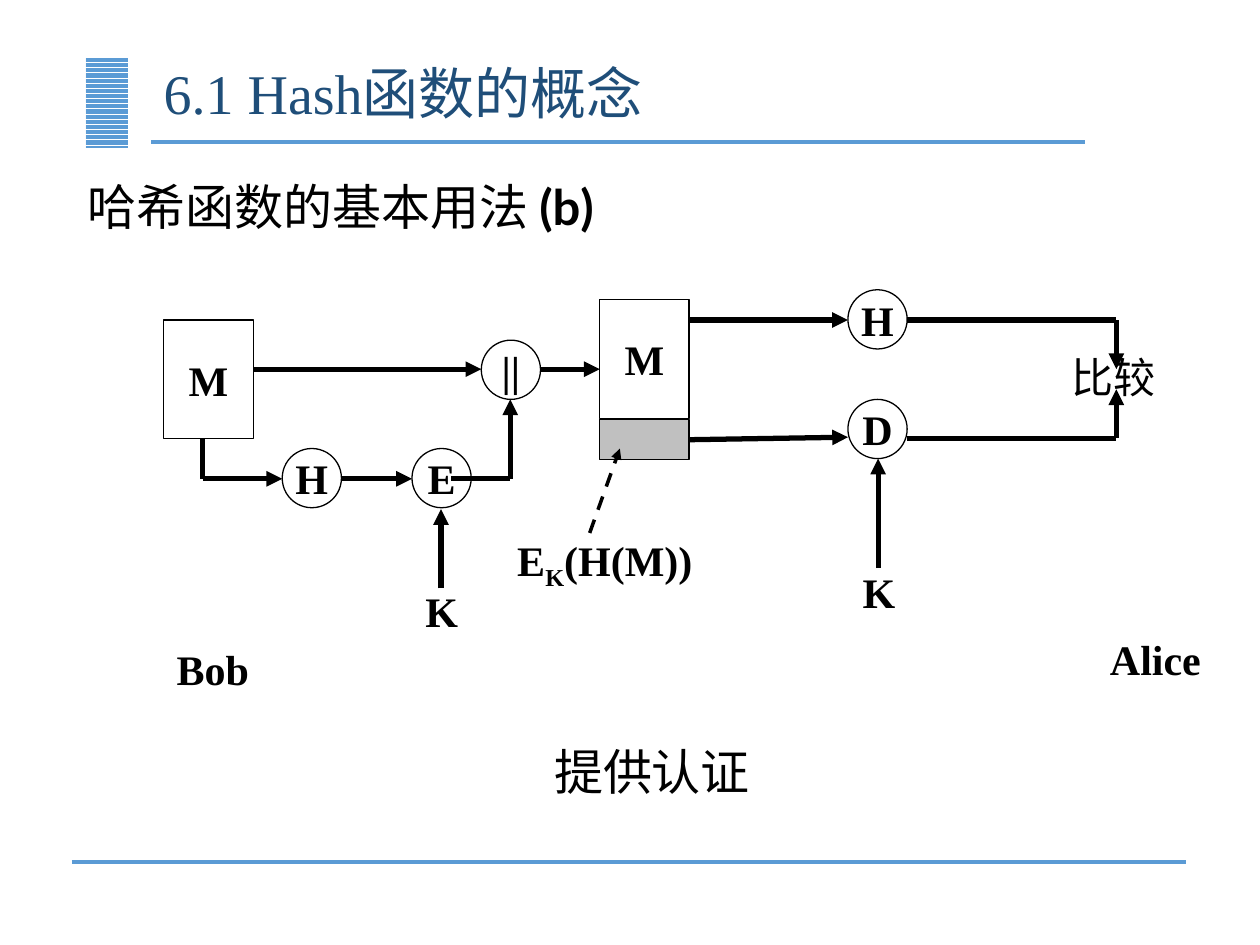
from typing import NamedTuple

from lxml import etree
from pptx import Presentation
from pptx.dml.color import RGBColor
from pptx.enum.dml import MSO_LINE, MSO_PATTERN
from pptx.enum.shapes import MSO_CONNECTOR, MSO_SHAPE
from pptx.enum.text import MSO_ANCHOR, PP_ALIGN
from pptx.oxml.ns import qn
from pptx.util import Inches, Pt

RECT, OVAL = MSO_SHAPE.RECTANGLE, MSO_SHAPE.OVAL
STRAIGHT = MSO_CONNECTOR.STRAIGHT
DASH = MSO_LINE.DASH
STRIPES = MSO_PATTERN.DARK_HORIZONTAL
CENTER, JUSTIFY, LEFT = PP_ALIGN.CENTER, PP_ALIGN.JUSTIFY, PP_ALIGN.LEFT
TOP, MIDDLE = MSO_ANCHOR.TOP, MSO_ANCHOR.MIDDLE

COLORS = {"black": "000000", "white": "FFFFFF", "gray": "C0C0C0",
          "blue": "5B9BD5", "navy": "1F4E79"}
SERIF, SANS, CJK = "Times New Roman", "Lato", "Noto Sans CJK SC"
BOX_W, BOX_H, CIRCLE, LABEL_H = 0.71, 0.94, 0.47, 0.5


class Node(NamedTuple):
    shape: int
    x: float
    y: float
    w: float
    h: float
    text: str = ""
    fill: str = "white"


class Line(NamedTuple):
    x1: float
    y1: float
    x2: float
    y2: float
    arrow: bool = True
    width: float = 3
    color: str = "black"
    dashed: bool = False


class Run(NamedTuple):
    text: str
    size: int = 24
    font: str = SERIF
    bold: bool = True
    color: str = "black"
    baseline: int = 0


class Label(NamedTuple):
    x: float
    y: float
    w: float
    runs: list[Run]
    h: float = LABEL_H
    align: int = CENTER
    anchor: int = TOP
    spacing: float = 1.0
    indent: float = 0


def rgb(name: str) -> RGBColor:
    return RGBColor.from_string(COLORS[name])


def write(sp, runs: list[Run], align: int, anchor: int, wrap: bool):
    tf = sp.text_frame
    tf.word_wrap = wrap
    tf.vertical_anchor = anchor
    p = tf.paragraphs[0]
    p.alignment = align
    for run in runs:
        r = p.add_run()
        r.text = run.text
        values = {"size": Pt(run.size), "bold": run.bold, "name": run.font}
        for key, value in values.items():
            setattr(r.font, key, value)
        r.font.color.rgb = rgb(run.color)
        rPr = r._r.get_or_add_rPr()
        etree.SubElement(rPr, qn("a:ea")).set("typeface", CJK)
        if run.baseline:
            rPr.set("baseline", str(run.baseline * 1000))
    return p


def add_node(s, node: Node):
    sp = s.shapes.add_shape(node.shape, *map(Inches, node[1:5]))
    sp.shadow.inherit = False
    sp.fill.solid()
    sp.fill.fore_color.rgb = rgb(node.fill)
    sp.line.color.rgb = rgb("black")
    sp.line.width = Pt(0.75)
    if node.text:
        write(sp, [Run(node.text)], CENTER, MIDDLE, False)
    return sp


def add_line(s, line: Line):
    cxn = s.shapes.add_connector(STRAIGHT, *map(Inches, line[:4]))
    cxn.line.color.rgb = rgb(line.color)
    cxn.line.width = Pt(line.width)
    if line.dashed:
        cxn.line.dash_style = DASH
    if line.arrow:
        ln = cxn.line._get_or_add_ln()
        etree.SubElement(ln, qn("a:tailEnd")).set("type", "triangle")
    etree.SubElement(cxn._element.spPr, qn("a:effectLst"))
    return cxn


def add_label(s, label: Label) -> None:
    sp = s.shapes.add_textbox(*map(Inches, (label.x, label.y, label.w, label.h)))
    p = write(sp, label.runs, label.align, label.anchor, True)
    p.line_spacing = label.spacing
    if label.indent:
        pPr = p._p.get_or_add_pPr()
        pPr.set("marL", str(Inches(label.indent)))
        pPr.set("indent", str(-Inches(label.indent)))


RULES = [
    Line(1.2, 1.13, 8.61, 1.13, False, 2.25, "blue"),
    Line(0.57, 6.84, 9.41, 6.84, False, 2.25, "blue"),
]

NODES = [Node(RECT, x, y, BOX_W, BOX_H, "M") for x, y in [(1.3, 2.54), (4.76, 2.38)]]
NODES += [Node(OVAL, x, y, CIRCLE, CIRCLE, text) for x, y, text in [
    (3.82, 2.7, "||"), (2.24, 3.56, "H"), (3.27, 3.56, "E"),
    (6.73, 2.3, "H"), (6.73, 3.17, "D")]]
CIPHER_NODE = Node(RECT, 4.76, 3.33, BOX_W, 0.32, fill="gray")

CIPHER_TO_D = Line(5.47, 3.48, 6.73, 3.47)
FLOWS = [
    Line(2.01, 2.93, 3.82, 2.93),
    Line(4.29, 2.93, 4.76, 2.93),
    Line(1.61, 3.48, 1.61, 3.8, False),
    Line(1.61, 3.8, 2.24, 3.8),
    Line(2.71, 3.8, 3.27, 3.8),
    Line(3.58, 3.8, 4.05, 3.8, False),
    Line(4.05, 3.8, 4.05, 3.17),
    Line(3.5, 4.67, 3.5, 4.04),
    Line(5.47, 2.54, 6.73, 2.54),
    Line(7.2, 2.54, 8.86, 2.54, False),
    Line(8.86, 2.54, 8.86, 2.93),
    Line(7.2, 3.48, 8.86, 3.48, False),
    Line(8.86, 3.48, 8.86, 3.09),
    Line(6.97, 4.51, 6.97, 3.64),
    Line(4.68, 4.23, 4.92, 3.56, width=2, dashed=True),
]

LABELS = [
    Label(1.2, 0.4, 7.41, [Run("6.1 Hash函数的概念", 32, SERIF, False, "navy")],
          0.73, LEFT, MIDDLE, 0.9),
    Label(0.6, 1.26, 8.33, [Run("哈希函数的基本用法 ", 28, SANS, False),
                            Run("(b) ", 28, SANS)],
          0.64, JUSTIFY, TOP, 1.2, 0.25),
    Label(3.15, 4.6, 0.71, [Run("K")]),
    Label(6.62, 4.45, 0.71, [Run("K")]),
    Label(3.74, 4.19, 2.12, [Run("E"), Run("K", baseline=-25), Run("(H(M))")]),
    Label(8.37, 2.74, 0.94, [Run("比较", font=CJK, bold=False)]),
    Label(0.98, 5.06, 1.42, [Run("Bob")]),
    Label(8.66, 4.98, 1.02, [Run("Alice")]),
    Label(2.46, 5.6, 5.43, [Run("提供认证", 28, bold=False)], 1.03, anchor=MIDDLE),
]


def main() -> None:
    prs = Presentation()
    prs.slide_width, prs.slide_height = Inches(10), Inches(7.5)
    s = prs.slides.add_slide(prs.slide_layouts[6])

    stripes = s.shapes.add_shape(RECT, *map(Inches, (0.68, 0.45, 0.34, 0.72)))
    stripes.shadow.inherit = False
    stripes.fill.patterned()
    stripes.fill.pattern = STRIPES
    stripes.fill.fore_color.rgb = rgb("blue")
    stripes.fill.back_color.rgb = rgb("white")
    stripes.line.fill.background()

    for rule in RULES:
        add_line(s, rule)
    for node in NODES:
        add_node(s, node)
    cipher = add_node(s, CIPHER_NODE)
    for flow in FLOWS:
        add_line(s, flow)
    add_line(s, CIPHER_TO_D).begin_connect(cipher, 3)
    for label in LABELS:
        add_label(s, label)

    prs.save("out.pptx")


if __name__ == "__main__":
    main()
